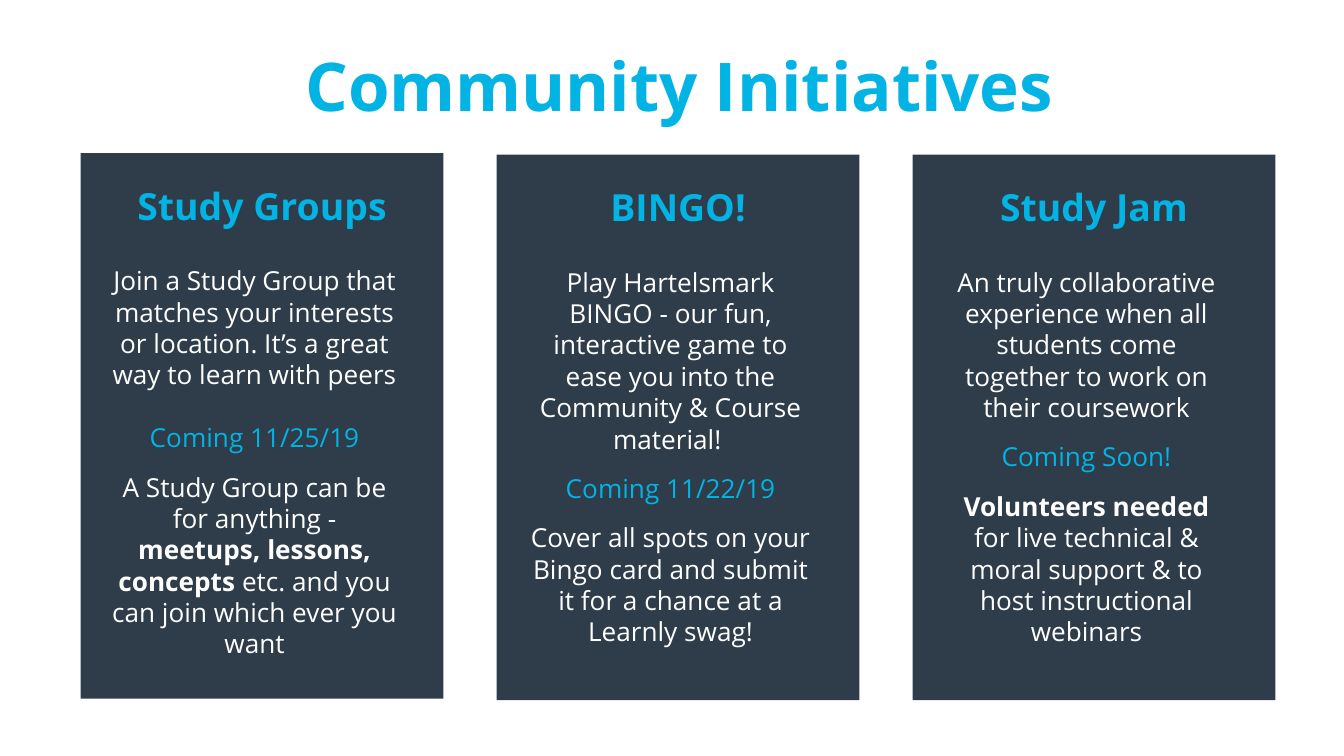
from pptx import Presentation
from pptx.dml.color import RGBColor
from pptx.enum.shapes import MSO_SHAPE
from pptx.enum.text import MSO_ANCHOR, MSO_AUTO_SIZE, PP_ALIGN
from pptx.util import Inches, Pt

RECT = MSO_SHAPE.RECTANGLE
TOP = MSO_ANCHOR.TOP
FIXED = MSO_AUTO_SIZE.NONE
MID = PP_ALIGN.CENTER

THEME = {
    "font": "Open Sans",
    "blue": RGBColor(0x02, 0xB3, 0xE4),
    "navy": RGBColor(0x2E, 0x3D, 0x49),
    "white": RGBColor(0xFF, 0xFF, 0xFF),
    "title": 36, "head": 20, "body": 14,
    "gap": 9.6, "wide": 16.8,
}

# Grid: a 16:9 slide with three equal cards, in inches
WIDE = 10
HIGH = WIDE * 9 / 16
LEFT, LAST = 0.6, 6.79
STEP = (LAST - LEFT) / 2
CARD_W, CARD_H = 2.7, 4.06
HEAD_W = 2.09

# Each card: top, heading, then paragraphs of (gap, colour, runs of (text, bold))
CARDS = [
    (1.14, "Study Groups ", [
        (None, "white", [("Join a Study Group that matches your interests or "
                          "location. It’s a great way to learn with peers", False)]),
        ("wide", "blue", [("Coming 11/25/19", False)]),
        ("gap", "white", [("A Study Group can be for anything - ", False),
                          ("meetups, lessons, concepts", True),
                          (" etc. and you can join which ever you want", False)]),
    ]),
    (1.15, "BINGO!", [
        (None, "white", [("Play Hartelsmark BINGO - our fun, interactive game to "
                          "ease you into the Community & Course material! ", False)]),
        ("gap", "blue", [("Coming 11/22/19", False)]),
        ("gap", "white", [("Cover all spots on your Bingo card and submit it "
                           "for a chance at a Learnly swag!", False)]),
    ]),
    (1.15, "Study Jam", [
        (None, "white", [("An truly collaborative experience when all students "
                          "come together to work on their coursework", False)]),
        ("gap", "blue", [("Coming Soon!", False)]),
        ("gap", "white", [("Volunteers needed ", True),
                          ("for live technical & moral support & to host "
                           "instructional webinars", False)]),
    ]),
]


def set_up(frame, inset):
    frame.word_wrap = True
    frame.auto_size = FIXED
    frame.vertical_anchor = TOP
    frame.margin_left = frame.margin_right = Inches(inset)
    frame.margin_top = frame.margin_bottom = Inches(inset)


def add_run(para, text, size, color, bold):
    para.alignment = MID
    run = para.add_run()
    run.text = text
    run.font.name = THEME["font"]
    run.font.size = Pt(THEME[size])
    run.font.bold = bold
    run.font.color.rgb = THEME[color]


deck = Presentation()
deck.slide_width, deck.slide_height = Inches(WIDE), Inches(HIGH)
slide = deck.slides.add_slide(deck.slide_layouts[5])
shapes = slide.shapes

# Title
title = shapes.title
title.left, title.top = Inches(0.5), Inches(0.33)
title.width, title.height = Inches(9.11), Inches(0.62)
set_up(title.text_frame, 0)
add_run(title.text_frame.paragraphs[0], "Community Initiatives", "title", "blue", True)

# Cards
for col, (top, head, paras) in enumerate(CARDS):
    left = LEFT + col * STEP
    card = shapes.add_shape(RECT, Inches(left), Inches(top),
                            Inches(CARD_W), Inches(CARD_H))
    card.shadow.inherit = False
    card.fill.solid()
    card.fill.fore_color.rgb = THEME["navy"]
    card.line.fill.background()

    # Heading, centred on the card
    box = shapes.add_textbox(Inches(left + (CARD_W - HEAD_W) / 2),
                             Inches(top + 0.12), Inches(HEAD_W), Inches(0.81))
    set_up(box.text_frame, 0.1)
    add_run(box.text_frame.paragraphs[0], head, "head", "blue", True)

    # Details
    box = shapes.add_textbox(Inches(left + 0.13), Inches(top + 0.73),
                             Inches(2.33), Inches(3.14))
    frame = box.text_frame
    set_up(frame, 0.1)
    for row, (gap, color, runs) in enumerate(paras):
        para = frame.add_paragraph() if row else frame.paragraphs[0]
        if gap:
            para.space_before = Pt(THEME[gap])
        for text, bold in runs:
            add_run(para, text, "body", color, bold)

deck.save("out.pptx")
